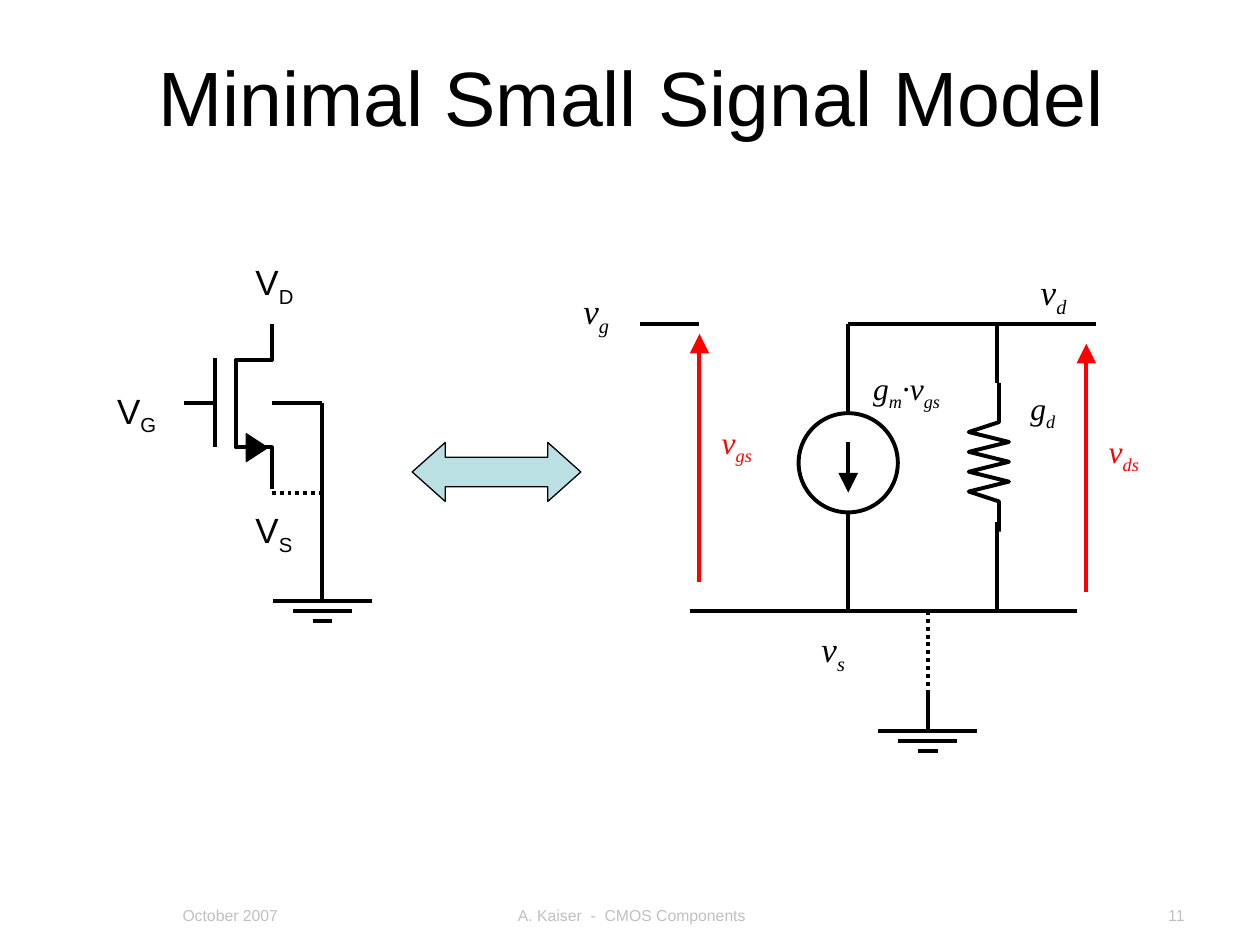
from dataclasses import dataclass
from itertools import pairwise

from lxml import etree
from pptx import Presentation
from pptx.dml.color import RGBColor
from pptx.enum.dml import MSO_LINE
from pptx.enum.shapes import MSO_CONNECTOR, MSO_SHAPE
from pptx.enum.text import MSO_ANCHOR, MSO_AUTO_SIZE, PP_ALIGN
from pptx.oxml.ns import qn
from pptx.util import Cm, Pt

STRAIGHT = MSO_CONNECTOR.STRAIGHT
DOTTED = MSO_LINE.ROUND_DOT
OVAL, TRIANGLE, DOUBLE_ARROW = MSO_SHAPE.OVAL, MSO_SHAPE.ISOSCELES_TRIANGLE, MSO_SHAPE.LEFT_RIGHT_ARROW
LEFT, CENTER, RIGHT = PP_ALIGN.LEFT, PP_ALIGN.CENTER, PP_ALIGN.RIGHT
MIDDLE = MSO_ANCHOR.MIDDLE
GROW = MSO_AUTO_SIZE.SHAPE_TO_FIT_TEXT


@dataclass(frozen=True)
class Theme:
    ink: RGBColor = RGBColor(0, 0, 0)
    voltage: RGBColor = RGBColor(0xFF, 0, 0)
    muted: RGBColor = RGBColor(0xC0, 0xC0, 0xC0)
    accent: RGBColor = RGBColor(0xBB, 0xE0, 0xE3)
    sans: str = "Arial"
    serif: str = "Times New Roman"
    title: int = 44
    node: int = 20
    quantity: int = 18
    footer: int = 9
    wire: float = 2.25
    outline: float = 0.75


class CircuitSlide:
    """Draws circuit elements on one slide, with all lengths in centimetres."""

    def __init__(self, slide, theme):
        self.slide, self.shapes, self.theme = slide, slide.shapes, theme

    def style_font(self, font, face, size, color, italic=False):
        font.name, font.size, font.italic = face, Pt(size), italic
        font.color.rgb = color

    def style_shape(self, shape, fill, weight):
        shape.shadow.inherit = False
        if fill is None:
            shape.fill.background()
        else:
            shape.fill.solid()
            shape.fill.fore_color.rgb = fill
        shape.line.color.rgb = self.theme.ink
        shape.line.width = Pt(weight)

    def title(self, text, left, top, width, height):
        heading = self.shapes.title
        heading.left, heading.top, heading.width, heading.height = map(Cm, (left, top, width, height))
        heading.text_frame.text = text
        heading.text_frame.vertical_anchor = MIDDLE
        paragraph = heading.text_frame.paragraphs[0]
        paragraph.alignment = CENTER
        self.style_font(paragraph.runs[0].font, self.theme.sans, self.theme.title, self.theme.ink)

    def footer(self, text, left, width, align):
        frame = self.shapes.add_textbox(Cm(left), Cm(18.14), Cm(width), Cm(0.6)).text_frame
        frame.word_wrap = True
        frame.text = text
        paragraph = frame.paragraphs[0]
        paragraph.alignment = align
        self.style_font(paragraph.runs[0].font, self.theme.sans, self.theme.footer, self.theme.muted)

    def label(self, parts, left, top, width, size, color=None, face=None):
        face = face or self.theme.serif
        height = 1.22 if size == self.theme.node else 1.12
        frame = self.shapes.add_textbox(Cm(left), Cm(top), Cm(width), Cm(height)).text_frame
        frame.word_wrap = True
        frame.auto_size = GROW
        paragraph = frame.paragraphs[0]
        paragraph.alignment = LEFT
        for index, part in enumerate(parts):
            run = paragraph.add_run()
            run.text = part
            self.style_font(run.font, face, size, color or self.theme.ink, face == self.theme.serif)
            if index % 2:
                run.font._element.set("baseline", "-25000")

    def wire(self, *points, color=None, dash=None, arrow=False):
        for start, end in pairwise(points):
            segment = self.shapes.add_connector(STRAIGHT, *map(Cm, (*start, *end)))
            segment.line.color.rgb = color or self.theme.ink
            segment.line.width = Pt(self.theme.wire)
            if dash:
                segment.line.dash_style = dash
            if arrow:
                outline = segment.line._get_or_add_ln()
                etree.SubElement(outline, qn("a:tailEnd"), type="triangle", w="lg", len="lg")
            etree.SubElement(segment._element.spPr, qn("a:effectLst"))

    def outline(self, points):
        first, *rest = [(Cm(x), Cm(y)) for x, y in points]
        builder = self.shapes.build_freeform(*first)
        builder.add_line_segments(rest, close=False)
        self.style_shape(builder.convert_to_shape(), None, self.theme.wire)

    def preset(self, kind, left, top, width, height, fill, weight, rotation=0, adjustments=()):
        shape = self.shapes.add_shape(kind, *map(Cm, (left, top, width, height)))
        shape.rotation = rotation
        for index, value in enumerate(adjustments):
            shape.adjustments[index] = value
        self.style_shape(shape, fill, weight)

    def ground(self, x, y):
        self.wire((x, y - 0.8), (x, y))
        for step, half in enumerate((1, 0.6, 0.2)):
            level = y + 0.2 * step
            self.wire((x - half, level), (x + half, level))


def draw_transistor(draw):
    theme = draw.theme
    gate, channel, source, bulk = 4.34, 4.75, 5.48, 6.5
    middle, drain_y, source_y = 8.13, 7.26, 9.02
    draw.wire((gate, 7.21), (gate, source_y))
    draw.wire((3.71, middle), (gate - 0.05, middle))
    draw.outline([(source, 6.53), (source, drain_y), (channel, drain_y),
                  (channel, source_y), (source, source_y), (source, 9.86)])
    draw.preset(TRIANGLE, 4.9, 8.81, 0.56, 0.43, theme.ink, theme.outline, rotation=90)
    draw.wire((source, middle), (bulk, middle), (bulk, 11.53))
    draw.wire((source, 9.93), (bulk, 9.93), dash=DOTTED)
    draw.ground(bulk, 12.12)
    for terminal, left, top in (("G", 2.11, 7.72), ("S", 4.9, 10.13), ("D", 4.9, 5.13)):
        draw.label(("V", terminal), left, top, 1.35, theme.node, face=theme.sans)


def draw_model(draw):
    theme = draw.theme
    top, bottom = 6.53, 12.32
    current, radius, center = 17.1, 1, 9.33
    conductance, ground = 20.1, 18.7

    draw.preset(OVAL, current - radius, center - radius, 2 * radius, 2 * radius, None, theme.wire)
    draw.wire((current, 8.92), (current, 9.93), arrow=True)
    draw.wire((current, top), (current, 7.52), (current, center - radius))
    draw.wire((current, center + radius), (current, 11.13), (current, bottom))

    draw.wire((14.1, top), (12.9, top))
    draw.wire((22.1, top), (current, top))
    draw.wire((21.72, bottom), (13.9, bottom))

    axis = conductance + 0.04
    zigzag = [(axis + (0.2 if turn % 2 else -0.61), 8.71 + 0.2 * turn) for turn in range(7)]
    draw.outline([(axis, 7.72), (axis, 8.51), *zigzag, (axis, 10.11), (axis, 10.72)])
    draw.wire((conductance, top), (conductance, 7.72))
    draw.wire((conductance, 10.52), (conductance, bottom))

    draw.wire((ground, bottom), (ground, 13.92), dash=DOTTED)
    draw.ground(ground, 14.73)

    for terminal, left, label_top in (("g", 11.51, 5.72), ("d", 20.73, 5.33), ("s", 16.31, 12.52)):
        draw.label(("v", terminal), left, label_top, 1.2, theme.node)
    draw.label(("g", "m", "·v", "gs"), 17.35, 7.32, 2.1, theme.quantity)
    draw.label(("g", "d"), 20.52, 7.72, 1.2, theme.quantity)
    for across, x, tip, label_top in (("gs", 14.1, 6.73, 8.41), ("ds", 21.9, 6.93, 8.59)):
        draw.wire((x, tip + 5), (x, tip), color=theme.voltage, arrow=True)
        draw.label(("v", across), x + 0.2, label_top, 1.2, theme.quantity, theme.voltage)


def main():
    deck = Presentation()
    deck.slide_width, deck.slide_height = Cm(25.4), Cm(19.05)
    draw = CircuitSlide(deck.slides.add_slide(deck.slide_layouts[5]), Theme())
    draw.title("Minimal Small Signal Model", 1.3, 0.33, 22.86, 3.18)
    draw.footer("October 2007", 3.43, 4.88, LEFT)
    draw.footer("A. Kaiser  -  CMOS Components", 8.71, 8.05, CENTER)
    draw.footer("11", 18.21, 5.92, RIGHT)
    draw_transistor(draw)
    draw_model(draw)
    draw.preset(DOUBLE_ARROW, 8.31, 8.92, 3.4, 1.19, draw.theme.accent,
                draw.theme.outline, adjustments=(0.5, 0.56))
    deck.save("out.pptx")


if __name__ == "__main__":
    main()
